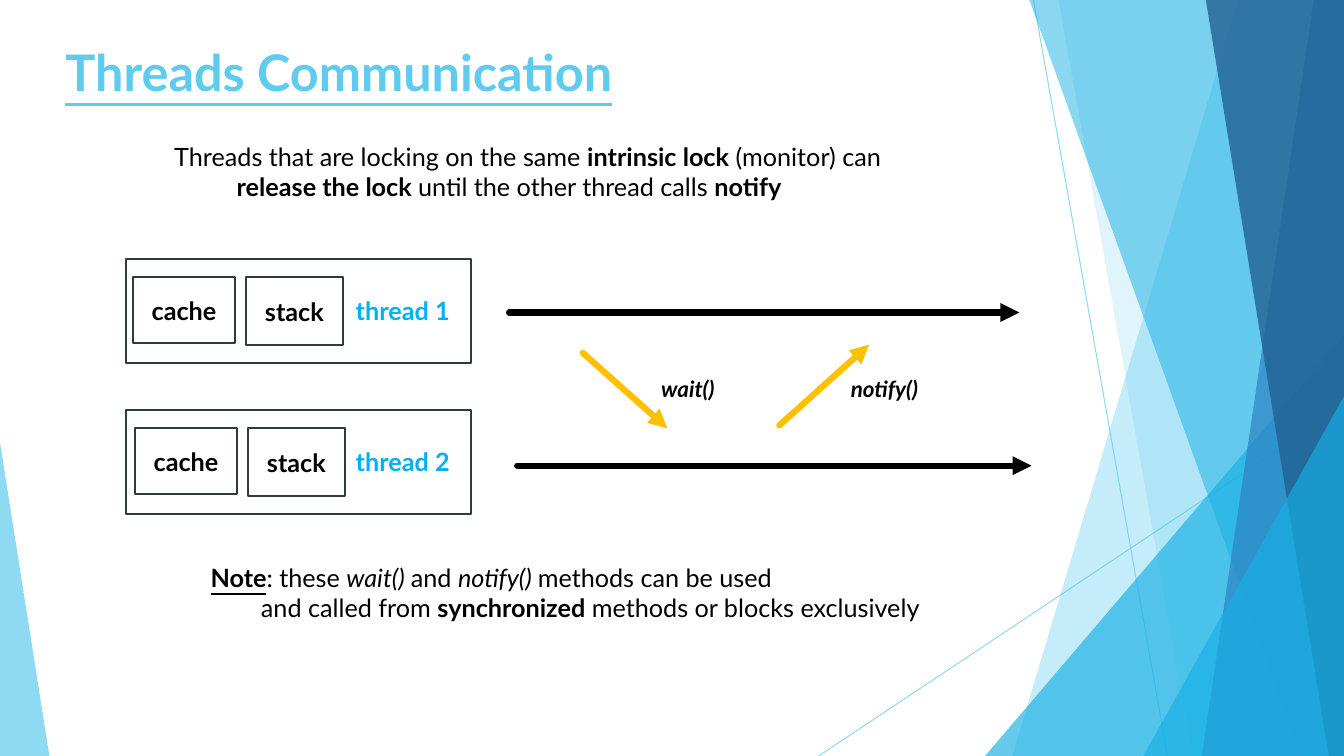
from lxml import etree
from pptx import Presentation
from pptx.dml.color import RGBColor
from pptx.enum.shapes import MSO_CONNECTOR, MSO_SHAPE
from pptx.enum.text import MSO_ANCHOR, PP_ALIGN
from pptx.oxml.ns import qn
from pptx.util import Inches, Pt

STRAIGHT = MSO_CONNECTOR.STRAIGHT
RECTANGLE, TRIANGLE = MSO_SHAPE.RECTANGLE, MSO_SHAPE.ISOSCELES_TRIANGLE
MIDDLE, TOP = MSO_ANCHOR.MIDDLE, MSO_ANCHOR.TOP
CENTER, LEFT = PP_ALIGN.CENTER, PP_ALIGN.LEFT

SKY = RGBColor(0x5F, 0xCB, 0xEF)
CYAN = RGBColor(0x17, 0xB0, 0xE4)
BLUE = RGBColor(0x2E, 0x83, 0xC3)
NAVY = RGBColor(0x22, 0x62, 0x92)
LABEL_BLUE = RGBColor(0x00, 0xB0, 0xF0)
SLATE = RGBColor(0x2C, 0x3C, 0x43)
AMBER = RGBColor(0xFF, 0xC0, 0x00)
BLACK = RGBColor(0, 0, 0)

FONT = "Lato"
WIDTH, HEIGHT = 13.33, 7.5
BOLD, ITALIC = {"bold": True}, {"italic": True}


def set_opacity(shape, percent):
    for color in shape._element.spPr.iter(qn("a:srgbClr")):
        etree.SubElement(color, qn("a:alpha")).set("val", str(percent * 1000))


def add_line(slide, start, end, color, weight):
    line = slide.shapes.add_connector(STRAIGHT, *map(Inches, start + end))
    line.line.color.rgb = color
    line.line.width = Pt(weight)
    etree.SubElement(line._element.spPr, qn("a:effectLst"))
    return line


def add_arrow(slide, start, end, color):
    arrow = add_line(slide, start, end, color, 4.5)
    outline = arrow.line._get_or_add_ln()
    outline.set("cap", "rnd")
    etree.SubElement(outline, qn("a:tailEnd")).set("type", "triangle")


def paint(shape, color, opacity):
    """Fill a decorative shape, without outline or shadow."""
    shape.shadow.inherit = False
    shape.fill.solid()
    shape.fill.fore_color.rgb = color
    shape.line.fill.background()
    set_opacity(shape, opacity)


def add_ribbon(slide, top_x, bottom_x, color, opacity):
    """Fill everything right of a slanted edge running down the slide."""
    corners = [(WIDTH, 0), (WIDTH, HEIGHT), (bottom_x, HEIGHT)]
    builder = slide.shapes.build_freeform(Inches(top_x), 0)
    builder.add_line_segments([(Inches(x), Inches(y)) for x, y in corners])
    paint(builder.convert_to_shape(), color, opacity)


def add_corner(slide, left, top, width, apex, color, opacity):
    """Stand a right triangle on the bottom edge; apex is 0 left or 1 right."""
    corner = slide.shapes.add_shape(
        TRIANGLE, *map(Inches, (left, top, width, HEIGHT - top)))
    corner.adjustments[0] = apex
    paint(corner, color, opacity)


def add_backdrop(slide):
    for start, end in (((10.25, 0), (11.58, HEIGHT)),
                       ((WIDTH, 4.03), (8.12, HEIGHT))):
        set_opacity(add_line(slide, start, end, SKY, 0.75), 70)
    add_ribbon(slide, 12.28, 10.04, SKY, 36)
    add_ribbon(slide, 10.5, 11.83, SKY, 20)
    add_corner(slide, 9.77, 3.33, 3.56, 1, CYAN, 66)
    add_ribbon(slide, 10.21, 12.91, CYAN, 50)
    add_ribbon(slide, 13.03, 11.92, BLUE, 70)
    add_ribbon(slide, 11.96, 13.18, NAVY, 80)
    add_corner(slide, 11.34, 3.93, 1.99, 1, CYAN, 66)
    add_corner(slide, 0, 4.39, 0.49, 0, SKY, 70)


def write(paragraph, runs, size, color):
    for text, marks in runs:
        run = paragraph.add_run()
        run.text = text
        style = {"name": FONT, "size": Pt(size), **marks}
        for key, value in style.items():
            setattr(run.font, key, value)
        run.font.color.rgb = color


def add_text(slide, box, lines, size, color=BLACK, indent=0):
    """Write lines of runs; every line after the first is indented."""
    frame = slide.shapes.add_textbox(*map(Inches, box)).text_frame
    frame.word_wrap = True
    frame.vertical_anchor = TOP
    for number, runs in enumerate(lines):
        paragraph = frame.add_paragraph() if number else frame.paragraphs[0]
        paragraph.alignment = LEFT
        if number:
            paragraph._p.get_or_add_pPr().set("marL", str(Inches(indent)))
        write(paragraph, runs, size, color)


def add_frame(slide, box, caption=None):
    frame = slide.shapes.add_shape(RECTANGLE, *map(Inches, box))
    frame.shadow.inherit = False
    frame.fill.background()
    frame.line.color.rgb = SLATE
    frame.line.width = Pt(1.5)
    if caption:
        frame.text_frame.vertical_anchor = MIDDLE
        paragraph = frame.text_frame.paragraphs[0]
        paragraph.alignment = CENTER
        write(paragraph, [(caption, BOLD)], 18, BLACK)


def add_thread(slide, left, top, name, memory_inset):
    add_frame(slide, (left, top, 3.42, 1.03))
    memory_left, memory_top = left + memory_inset, top + 0.18
    add_frame(slide, (memory_left, memory_top, 1.01, 0.65), "cache")
    add_frame(slide, (memory_left + 1.12, memory_top, 0.96, 0.67), "stack")
    add_text(slide, (left + 2.18, top + 0.31, 1.24, 0.4),
             [[(name, BOLD)]], 18, LABEL_BLUE)


def add_timelines(slide):
    for start, end, color in (((5.05, 3.1), (10.11, 3.1), BLACK),
                              ((5.13, 4.62), (10.23, 4.62), BLACK),
                              ((5.78, 3.5), (6.62, 4.25), AMBER),
                              ((7.73, 4.22), (8.62, 3.42), AMBER)):
        add_arrow(slide, start, end, color)
    for call, left, width in (("wait()", 6.46, 0.85), ("notify()", 8.34, 1.01)):
        add_text(slide, (left, 3.67, width, 0.37),
                 [[(call, {**BOLD, **ITALIC})]], 16)


def main():
    deck = Presentation()
    deck.slide_width, deck.slide_height = Inches(WIDTH), Inches(HEIGHT)
    slide = deck.slides.add_slide(deck.slide_layouts[6])
    add_backdrop(slide)
    underlined = {**BOLD, "underline": True}
    add_text(slide, (0.55, 0.36, 9.4, 1.44),
             [[("Threads Communication", underlined)]], 36, SKY)
    add_thread(slide, 1.25, 2.57, "thread 1", 0.07)
    add_thread(slide, 1.25, 4.07, "thread 2", 0.09)
    add_timelines(slide)
    add_text(slide, (1.63, 1.35, 7.73, 0.71), [
        [("Threads that are locking on the same ", {}),
         ("intrinsic lock", BOLD), (" (monitor) can", {})],
        [("release the lock ", BOLD),
         ("until the other thread calls ", {}), ("notify", BOLD)],
    ], 18, indent=0.62)
    add_text(slide, (1.99, 5.53, 7.58, 0.71), [
        [("Note", underlined), (": these ", {}), ("wait() ", ITALIC),
         ("and ", {}), ("notify() ", ITALIC), ("methods can be used", {})],
        [("and called from ", {}), ("synchronized", BOLD),
         (" methods or blocks exclusively", {})],
    ], 18, indent=0.5)
    deck.save("out.pptx")


if __name__ == "__main__":
    main()
